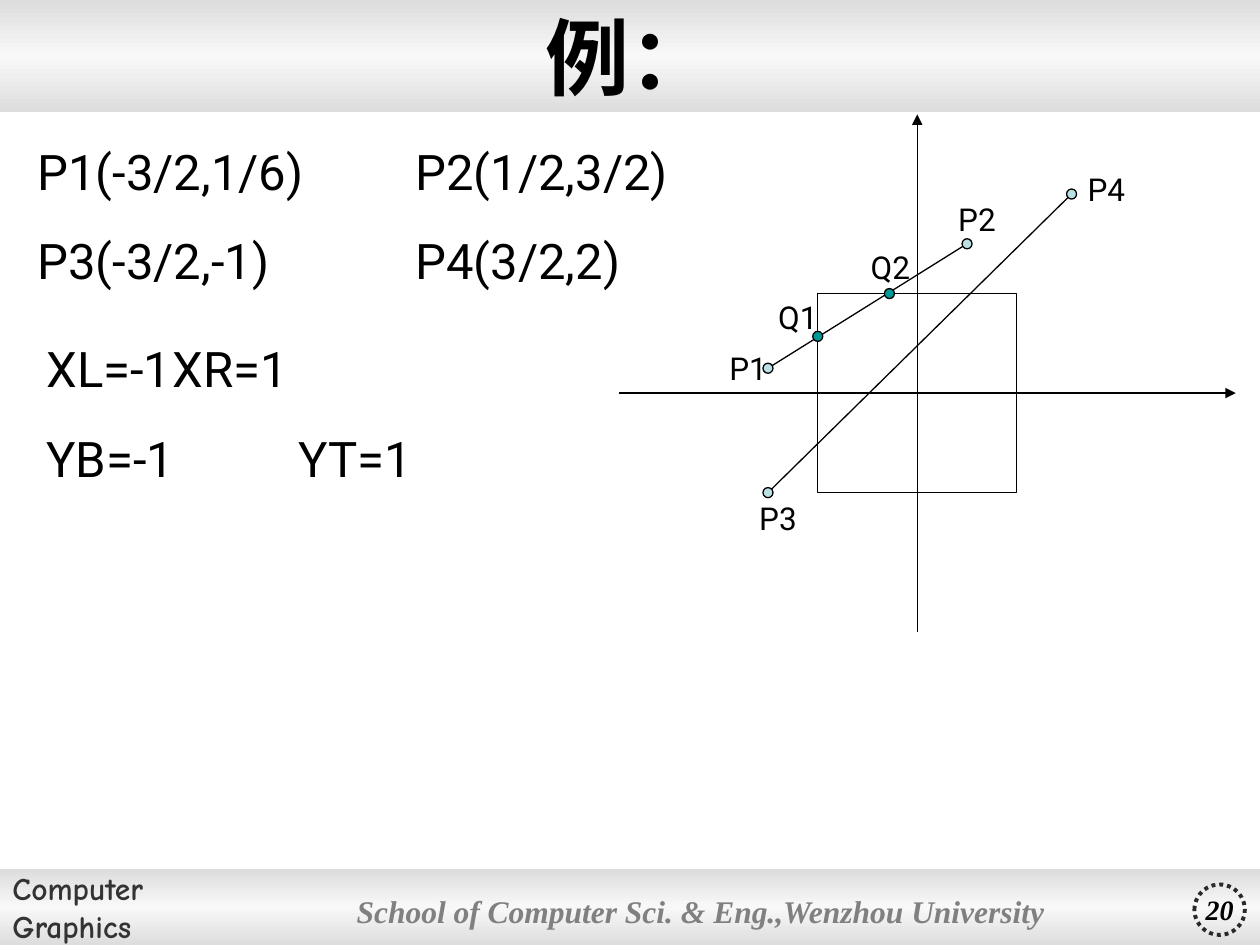
from copy import deepcopy

from pptx import Presentation
from pptx.dml.color import RGBColor
from pptx.enum.dml import MSO_LINE
from pptx.enum.shapes import MSO_CONNECTOR, MSO_SHAPE
from pptx.enum.text import MSO_ANCHOR, PP_ALIGN
from pptx.oxml.ns import qn
from pptx.oxml.xmlchemy import OxmlElement
from pptx.util import Inches, Pt

COLORS = {
    "ink": "000000", "band_edge": "DDDDDD", "band_middle": "F8F8F8",
    "course": "333333", "school": "808080", "ring": "292929",
    "endpoint": "BBE0E3", "crossing": "009999",
}
CELL = 0.1
ORIGIN = (7.28, 3.12)
UNIT = 0.79


class ClippingSlide:
    """Style and drawing methods for one slide on a grid of 100 columns by 75 rows."""

    def __init__(self, presentation):
        self.slide = presentation.slides.add_slide(presentation.slide_layouts[6])
        self.shapes = self.slide.shapes

    def color(self, name):
        return RGBColor.from_string(COLORS[name])

    def grid(self, *cells):
        return [Inches(cell * CELL) for cell in cells]

    def plane(self, x, y):
        return Inches(ORIGIN[0] + x * UNIT), Inches(ORIGIN[1] - y * UNIT)

    def centered(self, point, width, height):
        x, y = self.plane(*point)
        width, height = Inches(width), Inches(height)
        return x - width // 2, y - height // 2, width, height

    def shape(self, kind, box, fill=None, line=None, weight=0.75):
        shape = self.shapes.add_shape(kind, *box)
        shape.shadow.inherit = False
        if fill:
            shape.fill.solid()
            shape.fill.fore_color.rgb = self.color(fill)
        else:
            shape.fill.background()
        if line:
            shape.line.color.rgb = self.color(line)
            shape.line.width = Pt(weight)
        else:
            shape.line.fill.background()
        return shape

    def band(self, box):
        shape = self.shape(MSO_SHAPE.RECTANGLE, box)
        shape.fill.gradient()
        shape.fill.gradient_angle = 90
        stop_list = shape._element.spPr.find(".//" + qn("a:gsLst"))
        stop_list.insert(1, deepcopy(stop_list[0]))
        names = ("band_edge", "band_middle", "band_edge")
        for index, (stop, name) in enumerate(zip(shape.fill.gradient_stops, names)):
            stop.position = index / 2
            stop.color.rgb = self.color(name)
        return shape

    def add_lines(self, shape, lines, size, font="Roboto", color="ink", bold=False,
                  italic=False, align=PP_ALIGN.LEFT, anchor=MSO_ANCHOR.MIDDLE,
                  insets=(0.1, 0.05), gap=0, stops=None, wrap=True):
        frame = shape.text_frame
        frame.word_wrap = wrap
        frame.vertical_anchor = anchor
        frame.margin_left = frame.margin_right = Inches(insets[0])
        frame.margin_top = frame.margin_bottom = Inches(insets[1])
        for index, line in enumerate(lines):
            paragraph = frame.add_paragraph() if index else frame.paragraphs[0]
            if stops:
                self.tabs(paragraph, stops[index])
            paragraph.alignment = align
            if index:
                paragraph.space_before = Pt(gap)
            run = paragraph.add_run()
            run.text = line
            run.font.name, run.font.size = font, Pt(size)
            run.font.bold, run.font.italic = bold, italic
            run.font.color.rgb = self.color(color)

    def tabs(self, paragraph, stops):
        tab_list = OxmlElement("a:tabLst")
        for position in stops:
            tab = OxmlElement("a:tab")
            tab.set("pos", str(Inches(position)))
            tab.set("algn", "l")
            tab_list.append(tab)
        paragraph._p.get_or_add_pPr().append(tab_list)

    def text(self, box, lines, size, **style):
        self.add_lines(self.shapes.add_textbox(*box), lines, size, **style)

    def line(self, start, end, arrow=False):
        connector = self.shapes.add_connector(
            MSO_CONNECTOR.STRAIGHT, *self.plane(*start), *self.plane(*end))
        connector.line.color.rgb = self.color("ink")
        connector.line.width = Pt(0.75)
        if arrow:
            head = OxmlElement("a:tailEnd")
            head.set("type", "triangle")
            connector.line._get_or_add_ln().append(head)
        connector._element.spPr.append(OxmlElement("a:effectLst"))

    def dot(self, point, fill):
        self.shape(MSO_SHAPE.OVAL, self.centered(point, 0.08, 0.08), fill, "ink")

    def label(self, name, point):
        self.text(self.centered(point, 0.79, 0.4), [name], 18,
                  align=PP_ALIGN.CENTER, anchor=MSO_ANCHOR.TOP)

    def frame(self):
        course = self.band(self.grid(0, 69, 100, 6))
        self.add_lines(course, ["Computer", "Graphics"], 18, "Comic Neue", "course", bold=True)
        self.band(self.grid(0, 0, 100, 8.9))
        self.text(self.grid(27.8, 69, 59.9, 6.6),
                  ["School of Computer Sci. & Eng.,Wenzhou University"], 18,
                  font="Times New Roman", color="school", bold=True, italic=True,
                  insets=(0.05, 0.02))
        ring = self.shape(MSO_SHAPE.OVAL, self.grid(94.8, 70.2, 4, 4), line="ring", weight=2.25)
        ring.line.dash_style = MSO_LINE.ROUND_DOT
        self.add_lines(ring, ["20"], 16, "Times New Roman", bold=True, italic=True,
                       align=PP_ALIGN.CENTER, wrap=False)
        self.text(self.grid(0, 0.5, 100, 7.9), ["例："], 48, font="Times New Roman",
                  bold=True, align=PP_ALIGN.CENTER)

    def diagram(self):
        endpoints = {"P1": (-1.5, 0.25), "P2": (0.5, 1.5), "P3": (-1.5, -1), "P4": (1.55, 2)}
        crossings = {"Q1": (-1, 0.57), "Q2": (-0.28, 1)}
        labels = {"P1": (-1.7, 0.25), "P2": (0.6, 1.75), "P3": (-1.4, -1.26),
                  "P4": (1.9, 2.05), "Q1": (-1.2, 0.76), "Q2": (-0.27, 1.27)}
        self.shapes = self.slide.shapes.add_group_shape().shapes
        self.line(endpoints["P3"], endpoints["P4"])
        self.line(endpoints["P1"], endpoints["P2"])
        self.shape(MSO_SHAPE.RECTANGLE, self.centered((0, 0), 2 * UNIT, 2 * UNIT), line="ink")
        self.line((-3, 0), (3.2, 0), arrow=True)
        self.line((0, -2.4), (0, 2.8), arrow=True)
        for points, fill in ((endpoints, "endpoint"), (crossings, "crossing")):
            for point in points.values():
                self.dot(point, fill)
        for name, point in labels.items():
            self.label(name, point)
        self.shapes = self.slide.shapes


def main():
    presentation = Presentation()
    presentation.slide_width, presentation.slide_height = Inches(10), Inches(7.5)
    slide = ClippingSlide(presentation)
    slide.frame()
    slide.text(slide.grid(2.7, 26.4, 36.2, 12.8), ["XL=-1\tXR=1", "YB=-1\tYT=1"], 28,
               anchor=MSO_ANCHOR.TOP, gap=17.5, stops=[[1], [2]])
    slide.diagram()
    slide.text(slide.grid(2, 10.7, 52.8, 12.8),
               ["P1(-3/2,1/6)\tP2(1/2,3/2)", "P3(-3/2,-1)\t\tP4(3/2,2)"], 28,
               anchor=MSO_ANCHOR.TOP, gap=17.5, stops=[[3], [2, 3]])
    presentation.save("out.pptx")


if __name__ == "__main__":
    main()
